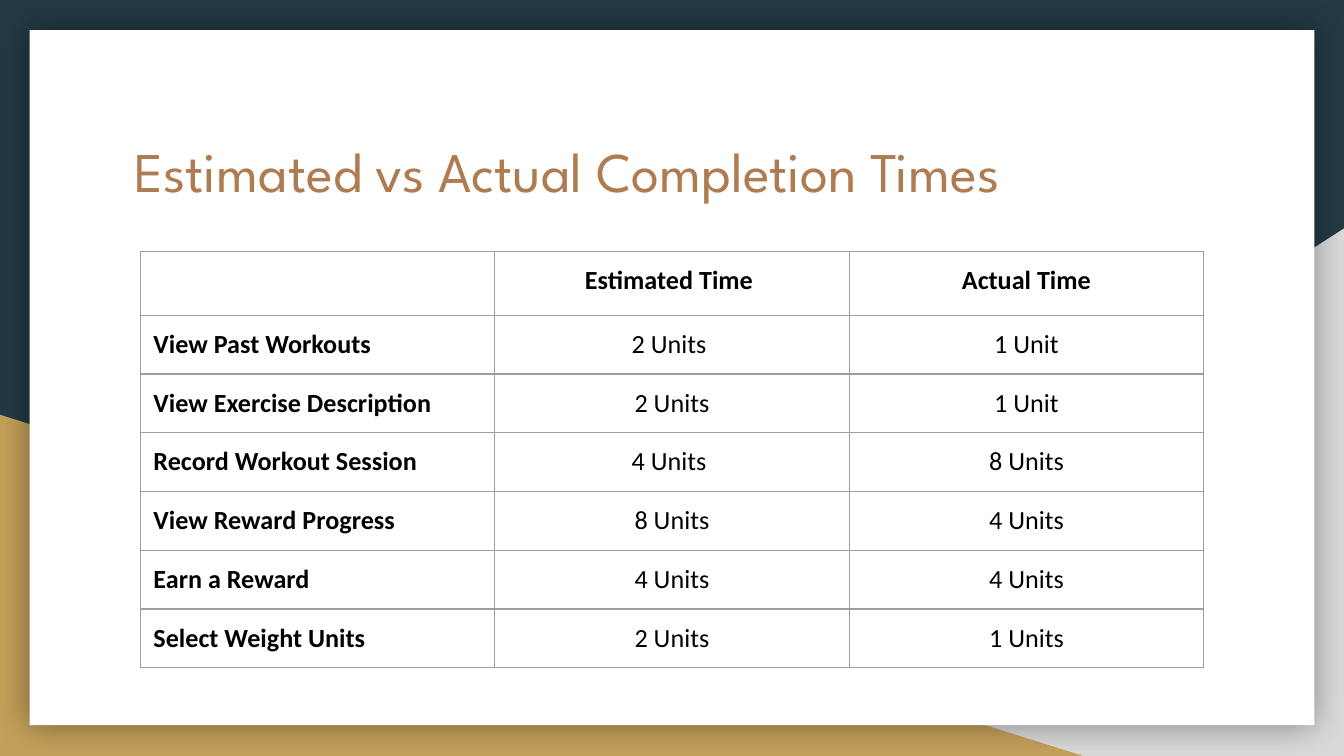
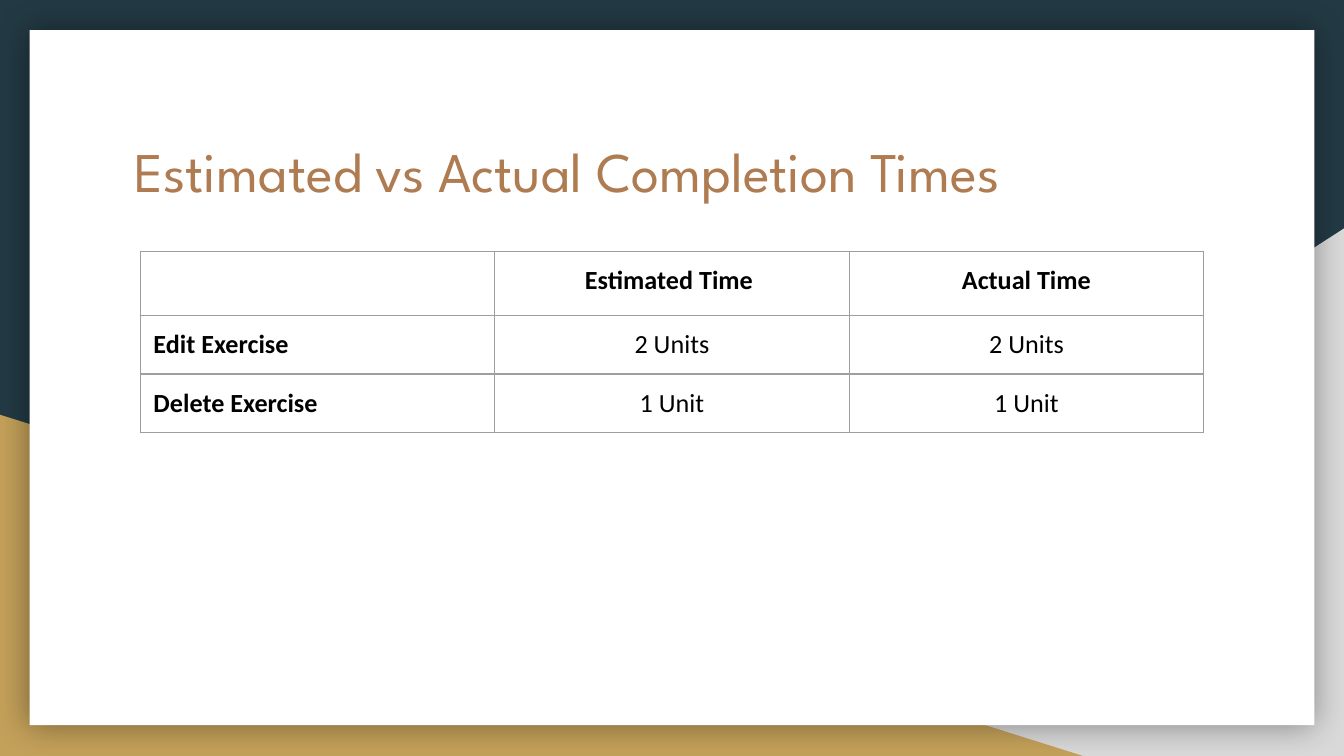
import pptx
import pptx.dml.color
import pptx.enum.shapes
import pptx.enum.text
import pptx.oxml
import pptx.oxml.ns
import pptx.util
from lxml import etree

Cm = pptx.util.Cm
Pt = pptx.util.Pt
qn = pptx.oxml.ns.qn
SHAPES = pptx.enum.shapes.MSO_SHAPE
ALIGN = pptx.enum.text.PP_ALIGN
ANCHOR = pptx.enum.text.MSO_ANCHOR

NAVY = "233A44"
GREY = "D9D9D9"
GOLD = "C4A15A"
WHITE = "FFFFFF"
BROWN = "AF7B51"
BLACK = "000000"
RULE = "9E9E9E"
TITLE_FONT = "League Spartan"
TABLE_FONT = "Calibri"
TABLE_SIZE = 14
INSET = Cm(0.25)
COLUMN_WIDTH = Cm(6.7)
HEADER_HEIGHT = Cm(1.21)
ROW_HEIGHT = Cm(1.11)

TITLE = "Estimated vs Actual Completion Times"
HEADER = ("", "Estimated Time ", "Actual Time")
FEATURES = [
    ("View Past Workouts", "2 Units ", "1 Unit"),
    ("View Exercise Description", "2 Units", "1 Unit"),
    ("Record Workout Session", "4 Units ", "8 Units"),
    ("View Reward Progress", "8 Units", "4 Units"),
    ("Earn a Reward", "4 Units", "4 Units"),
    ("Select Weight Units", "2 Units", "1 Units"),
]
EXERCISE_EDITS = [
    ("Edit Exercise", "2 Units", "2 Units"),
    ("Delete Exercise", "1 Unit", "1 Unit"),
]


def color(code):
    return pptx.dml.color.RGBColor.from_string(code)


def add_span(para, text, font, size, code, bold=False):
    span = para.add_run()
    span.text = text
    span.font.name = font
    span.font.size = Pt(size)
    span.font.bold = bold
    span.font.color.rgb = color(code)


def add_panel(page, kind, left, top, width, height, code):
    panel = page.shapes.add_shape(kind, Cm(left), Cm(top), Cm(width), Cm(height))
    panel.shadow.inherit = False
    panel.fill.solid()
    panel.fill.fore_color.rgb = color(code)
    panel.line.fill.background()
    return panel


def add_glow(panel):
    effects = panel._element.spPr.find(qn("a:effectLst"))
    shadow = etree.SubElement(effects, qn("a:outerShdw"), blurRad=str(Pt(18)), dist="0", algn="ctr")
    tint = etree.SubElement(shadow, qn("a:srgbClr"), val=BLACK)
    etree.SubElement(tint, qn("a:alpha"), val="40000")


def decorate_master(deck, page):
    master = deck.slide_master
    master.background.fill.solid()
    master.background.fill.fore_color.rgb = color(NAVY)
    right_corner = add_panel(page, SHAPES.RIGHT_TRIANGLE, 9.96, 4.32, 15.44, 9.97, GREY)
    right_corner._element.spPr.find(qn("a:xfrm")).set("flipH", "1")
    left_corner = add_panel(page, SHAPES.RIGHT_TRIANGLE, 0, 7.84, 20.47, 6.45, GOLD)
    sheet = add_panel(page, SHAPES.RECTANGLE, 0.56, 0.57, 24.28, 13.14, WHITE)
    add_glow(sheet)
    for position, panel in enumerate((right_corner, left_corner, sheet), start=2):
        master.shapes._spTree.insert(position, panel._element)


def set_insets(holder):
    holder.margin_left = holder.margin_right = INSET
    holder.margin_top = holder.margin_bottom = INSET


def fill_title(page):
    box = page.shapes.title
    box.left, box.top, box.width, box.height = Cm(2.29), Cm(2.34), Cm(20.85), Cm(2.64)
    frame = box.text_frame
    set_insets(frame)
    frame.word_wrap = True
    frame.auto_size = pptx.enum.text.MSO_AUTO_SIZE.NONE
    frame.vertical_anchor = ANCHOR.TOP
    para = frame.paragraphs[0]
    para.alignment = ALIGN.LEFT
    add_span(para, TITLE, TITLE_FONT, 30, BROWN)


def add_borders(cell):
    properties = cell._tc.get_or_add_tcPr()
    for side in ("lnL", "lnR", "lnT", "lnB"):
        line = etree.SubElement(properties, qn("a:" + side), w=str(Pt(0.75)))
        fill = etree.SubElement(line, qn("a:solidFill"))
        etree.SubElement(fill, qn("a:srgbClr"), val=RULE)


def fill_cell(cell, text, centered, bold):
    add_borders(cell)
    cell.fill.background()
    set_insets(cell)
    cell.vertical_anchor = ANCHOR.TOP
    para = cell.text_frame.paragraphs[0]
    para.alignment = ALIGN.CENTER if centered else ALIGN.LEFT
    if text:
        add_span(para, text, TABLE_FONT, TABLE_SIZE, BLACK, bold)
    else:
        etree.SubElement(para._p, qn("a:endParaRPr"), sz=str(TABLE_SIZE * 100))


def add_times_table(page, entries):
    rows = [HEADER, *entries]
    height = HEADER_HEIGHT + ROW_HEIGHT * len(entries)
    table = page.shapes.add_table(
        len(rows), len(HEADER), Cm(2.65), Cm(4.75), COLUMN_WIDTH * len(HEADER), height
    ).table
    table.first_row = False
    table.horz_banding = False
    for column in table.columns:
        column.width = COLUMN_WIDTH
    for row_index, texts in enumerate(rows):
        table.rows[row_index].height = ROW_HEIGHT if row_index else HEADER_HEIGHT
        for column_index, text in enumerate(texts):
            fill_cell(
                table.cell(row_index, column_index),
                text,
                centered=column_index > 0,
                bold=row_index == 0 or column_index == 0,
            )


def main():
    deck = pptx.Presentation()
    deck.slide_width = Cm(25.4)
    deck.slide_height = Cm(14.29)
    layout = deck.slide_layouts.get_by_name("Title Only")
    pages = []
    for entries in (FEATURES, EXERCISE_EDITS):
        page = deck.slides.add_slide(layout)
        fill_title(page)
        add_times_table(page, entries)
        pages.append(page)
    decorate_master(deck, pages[0])
    deck.save("out.pptx")


if __name__ == "__main__":
    main()
